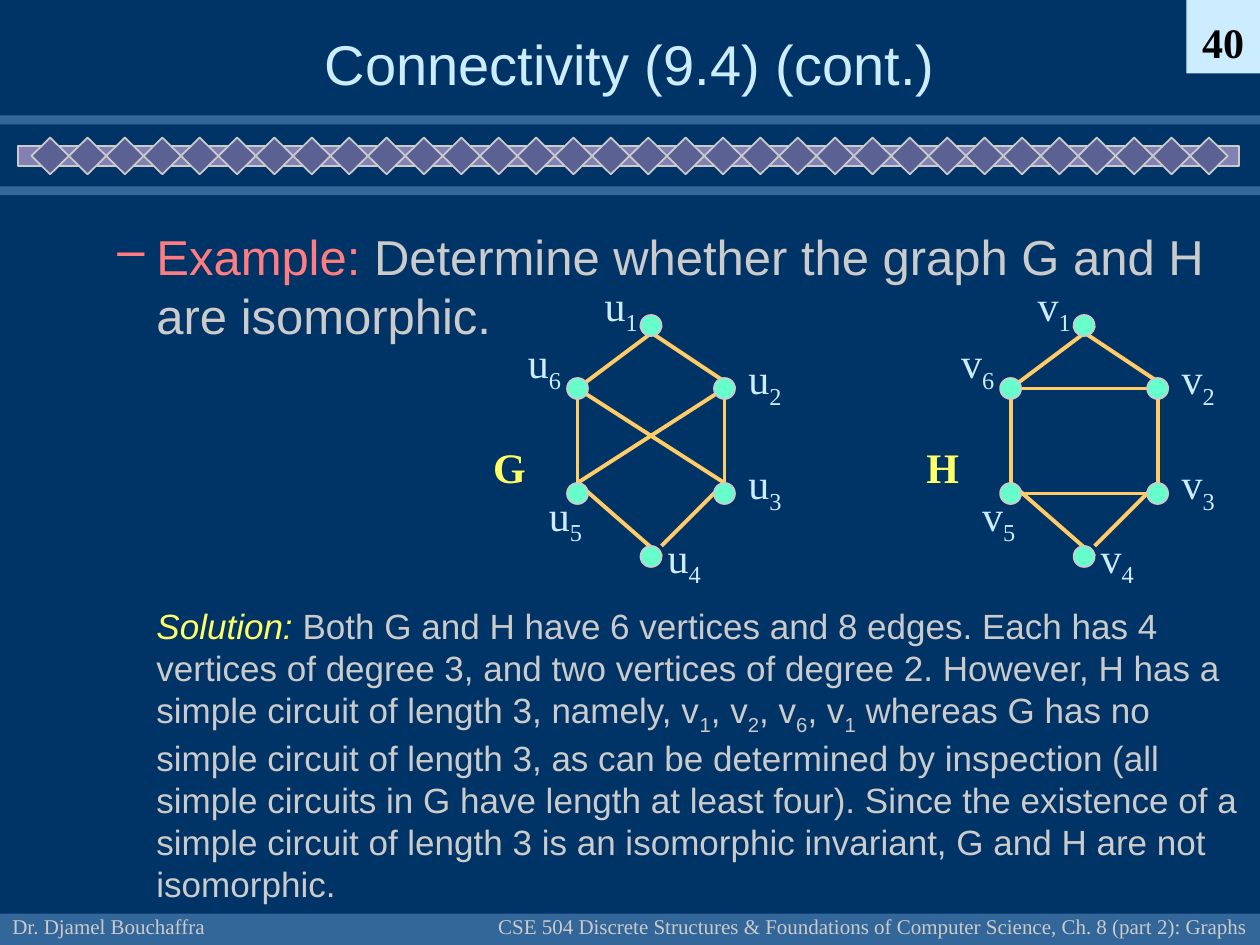
import pptx
import pptx.dml.color
import pptx.enum.shapes
import pptx.enum.text
import pptx.util
from lxml import etree

RGB = pptx.dml.color.RGBColor
NAVY = RGB(0x00, 0x33, 0x66)
BLUE = RGB(0x33, 0x66, 0x99)
MAUVE = RGB(0x83, 0x81, 0xB3)
SLATE = RGB(0x5B, 0x61, 0x92)
GREY = RGB(0xCB, 0xCB, 0xCB)
PALE = RGB(0xCC, 0xEC, 0xFF)
BLACK = RGB(0, 0, 0)
PINK = RGB(0xFF, 0x7C, 0x80)
YELLOW = RGB(0xFF, 0xFF, 0x66)
GOLD = RGB(0xFF, 0xCC, 0x66)
MINT = RGB(0x66, 0xFF, 0xCC)

KIND = pptx.enum.shapes.MSO_SHAPE
ALIGN = pptx.enum.text.PP_ALIGN
ANCHOR = pptx.enum.text.MSO_ANCHOR
SANS, SERIF = "Arial", "Times New Roman"
COLS, ROWS = 120, 90

DOTS = [(54, 36), (68, 36), (54, 46), (68, 46), (61, 30), (61, 52)]
RING = [(55, 37, 63, 31), (61, 31, 70, 37), (69, 37, 69, 46),
        (55, 37, 55, 46), (55, 46, 63, 53), (69, 46, 63, 52)]
CROSS = [(55, 46, 69, 37), (55, 37, 69, 46)]
RUNGS = [(54.75, 37, 68.75, 37), (54.75, 47, 68.75, 47)]
TAGS = [(56.4, 26), (70.1, 33), (70.1, 43), (62.4, 50), (51.1, 46), (49.1, 31.5)]


def cell(count):
    return pptx.util.Inches(count / 12)


def spot(*counts):
    return [cell(count) for count in counts]


def add_child(parent, tag, **attrs):
    name = "{http://schemas.openxmlformats.org/drawingml/2006/main}" + tag
    return etree.SubElement(parent, name, attrs)


def add_solid(shapes, kind, box, fill, edge=None):
    shape = shapes.add_shape(kind, *spot(*box))
    shape.shadow.inherit = False
    shape.fill.solid()
    shape.fill.fore_color.rgb = fill
    if edge is None:
        shape.line.fill.background()
    else:
        shape.line.color.rgb = edge
        shape.line.width = pptx.util.Pt(1)
    return shape


def add_edge(shapes, ends):
    edge = shapes.add_connector(pptx.enum.shapes.MSO_CONNECTOR.STRAIGHT, *spot(*ends))
    edge.line.color.rgb = GOLD
    edge.line.width = pptx.util.Pt(2.25)
    add_child(edge.element.spPr, "effectLst")


def write(shape, runs, size, face, align=ALIGN.LEFT, anchor=ANCHOR.TOP, wrap=False):
    frame = shape.text_frame
    frame.word_wrap = wrap
    frame.vertical_anchor = anchor
    para = frame.paragraphs[0]
    para.alignment = align
    for words, tint, style in runs:
        run = para.add_run()
        run.text = words
        run.font.name = face
        run.font.size = pptx.util.Pt(size)
        run.font.color.rgb = tint
        run.font.bold = style == "bold"
        run.font.italic = style == "slant"
        if style == "sub":
            run.font._element.set("baseline", "-25000")
    return para


def add_text(shapes, box, *args, **opts):
    return write(shapes.add_textbox(*spot(*box)), *args, **opts)


def indent(para, first):
    props = para._p.get_or_add_pPr()
    props.set("marL", str(pptx.util.Inches(0.81)))
    props.set("indent", str(pptx.util.Inches(first)))
    return props


def add_frame(shapes):
    for top, height in ((87, 3), (11, 0.85), (17.75, 0.85)):
        add_solid(shapes, KIND.RECTANGLE, (0, top, COLS, height), BLUE)
    band = shapes.add_group_shape().shapes
    add_solid(band, KIND.RECTANGLE, (1.75, 13.9, 116.25, 1.9), MAUVE, GREY)
    side = 3.56
    for step in range(32):
        add_solid(band, KIND.DIAMOND, (3 + step * side, 13.1, side, 3.5), SLATE, GREY)
    add_text(shapes, (0, 84, 25, 6), [("Dr. Djamel Bouchaffra", GREY, "")],
             12, SERIF, anchor=ANCHOR.BOTTOM)
    course = ("CSE 504 Discrete Structures & Foundations of Computer Science, "
              "Ch. 8 (part 2): Graphs")
    add_text(shapes, (46, 84, 74, 6), [(course, GREY, "")],
             12, SERIF, ALIGN.RIGHT, ANCHOR.BOTTOM)
    page = add_solid(shapes, KIND.RECTANGLE, (113, 0, 7, 7), PALE)
    write(page, [("40", BLACK, "bold")], 24, SERIF, ALIGN.CENTER, ANCHOR.BOTTOM)


def add_prose(shapes):
    add_text(shapes, (9, 2, 102, 8), [("Connectivity (9.4) (cont.)", PALE, "")],
             32, SANS, ALIGN.CENTER, ANCHOR.MIDDLE, True)
    task = add_text(shapes, (4, 21, 116, 13), [
        ("Example:", PINK, ""),
        (" Determine whether the graph G and H are isomorphic.", GREY, ""),
    ], 28, SANS, wrap=True)
    props = indent(task, -0.31)
    add_child(add_child(props, "buClr"), "srgbClr", val=str(PINK))
    add_child(props, "buChar", char="–")

    runs = [
        ("Solution:", YELLOW, "slant"),
        (" Both G and H have 6 vertices and 8 edges. Each has 4 vertices of degree 3, "
         "and two vertices of degree 2. However, H has a simple circuit of length 3, "
         "namely, ", GREY, ""),
    ]
    for lead, digit in (("v", "1"), (", v", "2"), (", v", "6"), (", v", "1")):
        runs += [(lead, GREY, ""), (digit, GREY, "sub")]
    runs.append((
        " whereas G has no simple circuit of length 3, as can be determined by "
        "inspection (all simple circuits in G have length at least four). Since the "
        "existence of a simple circuit of length 3 is an isomorphic invariant, G and H "
        "are not isomorphic.", GREY, ""))
    indent(add_text(shapes, (4, 57, 116, 30), runs, 20, SANS, wrap=True), 0)


def add_graph(shapes, name, node, edges, shift):
    group = shapes.add_group_shape().shapes
    for left, top, right, low in edges:
        add_edge(group, (left + shift, top, right + shift, low))
    for left, top in DOTS:
        add_solid(group, KIND.OVAL, (left + shift, top, 2, 2), MINT, GREY)
    add_text(group, (45.8 + shift, 41.5, 5.5, 6), [(name, YELLOW, "bold")], 24, SERIF)
    for index, (left, top) in enumerate(TAGS, 1):
        add_text(group, (left + shift, top, 8, 6.7),
                 [(node, PALE, ""), (str(index), PALE, "sub")], 24, SERIF)


def main():
    deck = pptx.Presentation()
    deck.slide_width, deck.slide_height = spot(COLS, ROWS)
    slide = deck.slides.add_slide(deck.slide_layouts[6])
    slide.background.fill.solid()
    slide.background.fill.fore_color.rgb = NAVY
    add_frame(slide.shapes)
    add_prose(slide.shapes)
    add_graph(slide.shapes, "G", "u", CROSS + RING, 0)
    add_graph(slide.shapes, "H", "v", RING + RUNGS, 41.25)
    deck.save("out.pptx")


if __name__ == "__main__":
    main()
